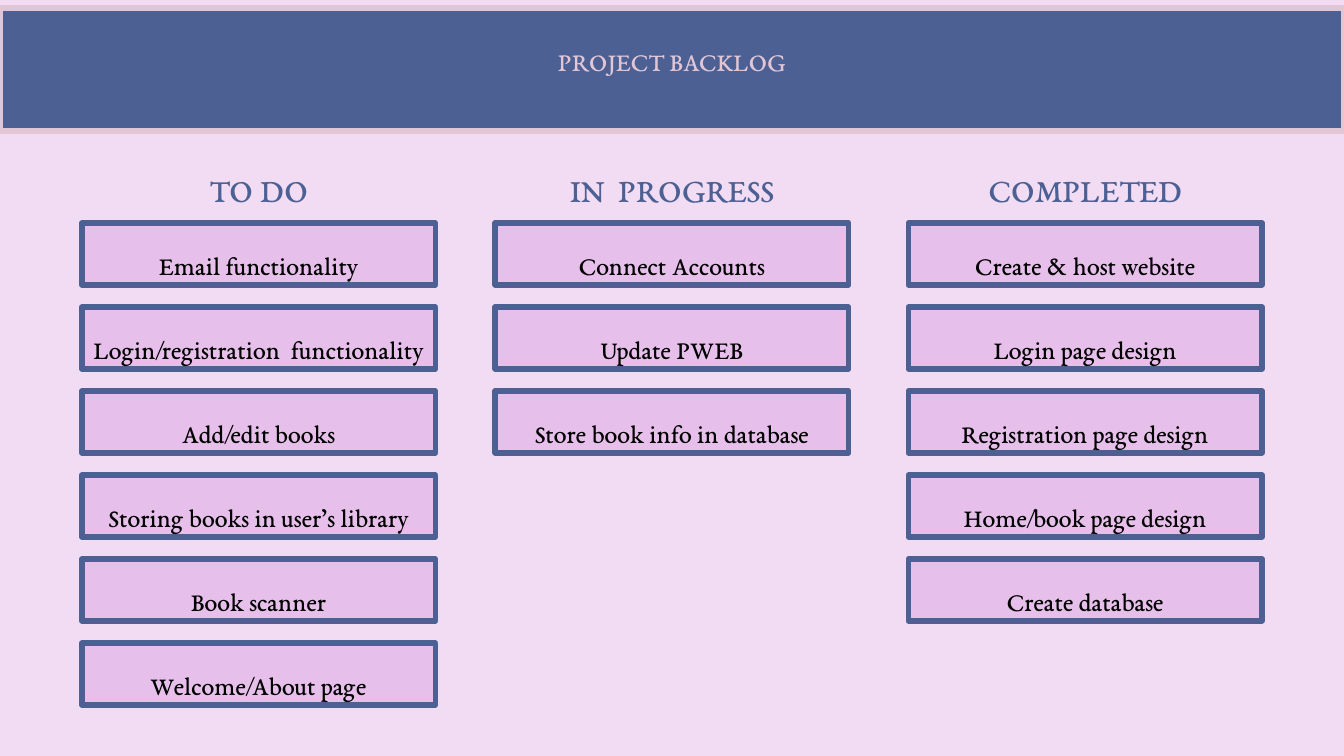
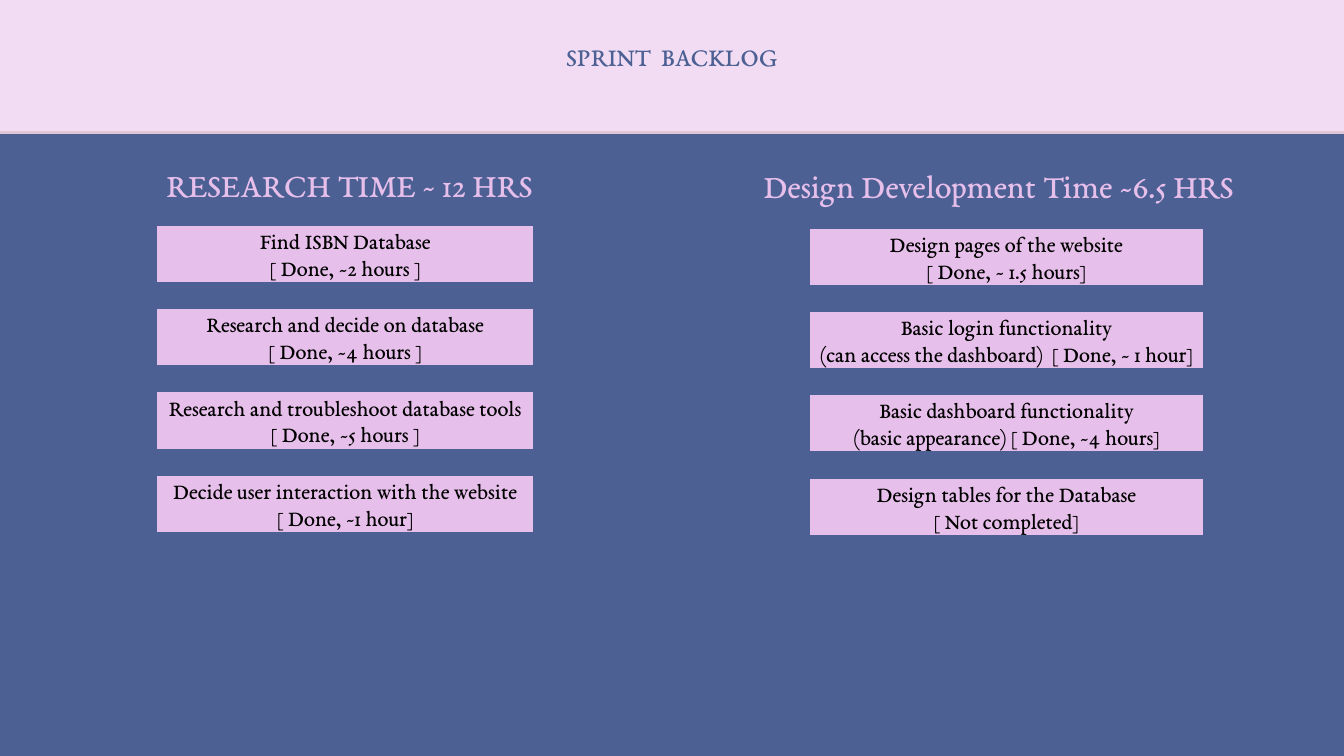
from lxml.etree import SubElement
from pptx import Presentation
from pptx.dml.color import RGBColor
from pptx.enum.shapes import MSO_SHAPE
from pptx.enum.text import MSO_ANCHOR, PP_ALIGN
from pptx.oxml.ns import qn
from pptx.util import Inches, Pt

W, H = 10, 5.625
COLORS = {"blue": "4C6094", "pale": "F1DCF3", "card": "E7BFEB",
          "rose": "E1C6D6", "navy": "1F497D", "black": "000000"}
FONT = "EB Garamond"
BAND_TOP, BAND_BOTTOM = 0.06, 0.975
CARD_H = 0.46


def add_box(s, left, top, width, height, fill=None, line=None):
    """Add a rectangle, or a plain text box when there is no fill."""
    at = [Inches(v) for v in (left, top, width, height)]
    if fill is None:
        return s.shapes.add_textbox(*at)
    sp = s.shapes.add_shape(MSO_SHAPE.RECTANGLE, *at)
    sp.shadow.inherit = False
    sp.fill.solid()
    sp.fill.fore_color.rgb = RGBColor.from_string(COLORS[fill])
    if line:
        sp.line.color.rgb = RGBColor.from_string(COLORS[line])
        sp.line.width = Pt(3)
    else:
        sp.line.fill.background()
    return sp


def add_text(sp, lines, size, color, inset=None, spacing=None, outline=None):
    """Write centred lines, one paragraph each, with an optional letter outline."""
    tf = sp.text_frame
    tf.word_wrap = True
    if inset is not None:
        tf.margin_left = tf.margin_right = Inches(inset)
        tf.margin_top = tf.margin_bottom = Inches(inset)
    for i, line in enumerate(lines):
        p = tf.add_paragraph() if i else tf.paragraphs[0]
        p.alignment = PP_ALIGN.CENTER
        if spacing:
            p.line_spacing = spacing
        r = p.add_run()
        r.text = line
        r.font.name = FONT
        r.font.size = Pt(size)
        r.font.color.rgb = RGBColor.from_string(COLORS[color])
        if outline:
            ln = r.font._element.makeelement(qn("a:ln"), {"w": str(Pt(0.75))})
            fill = SubElement(ln, qn("a:solidFill"))
            SubElement(fill, qn("a:srgbClr"), val=COLORS[outline])
            r.font._element.insert(0, ln)


# Each column: heading, heading centre, heading top, heading width,
# card left, first card top, card width, cards (one tuple of lines each)
PROJECT_LEFT, PROJECT_STEP, PROJECT_CARD = 0.61, 3.075, 2.63
project_tasks = {
    "TO DO": ["Email functionality", "Login/registration  functionality",
              "Add/edit books", "Storing books in user’s library",
              "Book scanner", "Welcome/About page"],
    "IN  PROGRESS": ["Connect Accounts", "Update PWEB",
                     "Store book info in database"],
    "COMPLETED": ["Create & host website", "Login page design",
                  "Registration page design", "Home/book page design",
                  "Create database"],
}
project_columns = []
for i, (heading, tasks) in enumerate(project_tasks.items()):
    left = PROJECT_LEFT + i * PROJECT_STEP
    project_columns.append((heading, left + PROJECT_CARD / 2, 1.16, 2.35,
                            left, 1.66, PROJECT_CARD, [(t,) for t in tasks]))

sprint_columns = [
    ("RESEARCH TIME ~ 12 HRS", 2.6, 1.12, 3.27, 1.15, 1.66, 2.84, [
        ("Find ISBN Database", "[ Done, ~2 hours ]"),
        ("Research and decide on database", "[ Done, ~4 hours ]"),
        ("Research and troubleshoot database tools", "[ Done, ~5 hours ]"),
        ("Decide user interaction with the website", "[ Done, ~1 hour]"),
    ]),
    ("Design Development Time ~6.5 HRS", 7.43, 1.13, 4.7, 6.01, 1.68, 2.96, [
        ("Design pages of the website", "[ Done, ~ 1.5 hours]"),
        ("Basic login functionality",
         "(can access the dashboard)  [ Done, ~ 1 hour]"),
        ("Basic dashboard functionality",
         "(basic appearance) [ Done, ~4 hours]"),
        ("Design tables for the Database", "[ Not completed]"),
    ]),
]

slides = [
    dict(title="PROJECT BACKLOG", title_top=0.29, title_color="rose",
         outline="navy", bg="pale", band="blue", heading_color="blue",
         size=14, spacing=1.73, row=H / 9, columns=project_columns),
    dict(title="SPRINT  BACKLOG", title_top=0.25, title_color="blue",
         outline="pale", bg="blue", band="pale", heading_color="card",
         size=12, spacing=None, row=0.62, columns=sprint_columns),
]

prs = Presentation()
prs.slide_width, prs.slide_height = Inches(W), Inches(H)

for spec_row in slides:
    s = prs.slides.add_slide(prs.slide_layouts[6])
    s.background.fill.solid()
    s.background.fill.fore_color.rgb = RGBColor.from_string(COLORS[spec_row["bg"]])

    add_box(s, 0, BAND_TOP, W, BAND_BOTTOM - BAND_TOP, spec_row["band"], "rose")
    if spec_row["band"] == "pale":
        add_box(s, 0, 0, W, BAND_BOTTOM, "pale")
    title = add_box(s, 0.2 * W, spec_row["title_top"], 0.6 * W, 0.48)
    add_text(title, [spec_row["title"]], 14, spec_row["title_color"],
             outline=spec_row["outline"])

    for heading, center, head_top, head_w, left, top, width, cards in spec_row["columns"]:
        sp = add_box(s, center - head_w / 2, head_top, head_w, 0.5)
        add_text(sp, [heading], 18, spec_row["heading_color"], inset=0.1)
        for i, lines in enumerate(cards):
            sp = add_box(s, left, top + i * spec_row["row"], width, CARD_H,
                         "card", "blue")
            sp.text_frame.vertical_anchor = MSO_ANCHOR.MIDDLE
            add_text(sp, lines, spec_row["size"], "black", inset=0.03,
                     spacing=spec_row["spacing"])

prs.save("out.pptx")
